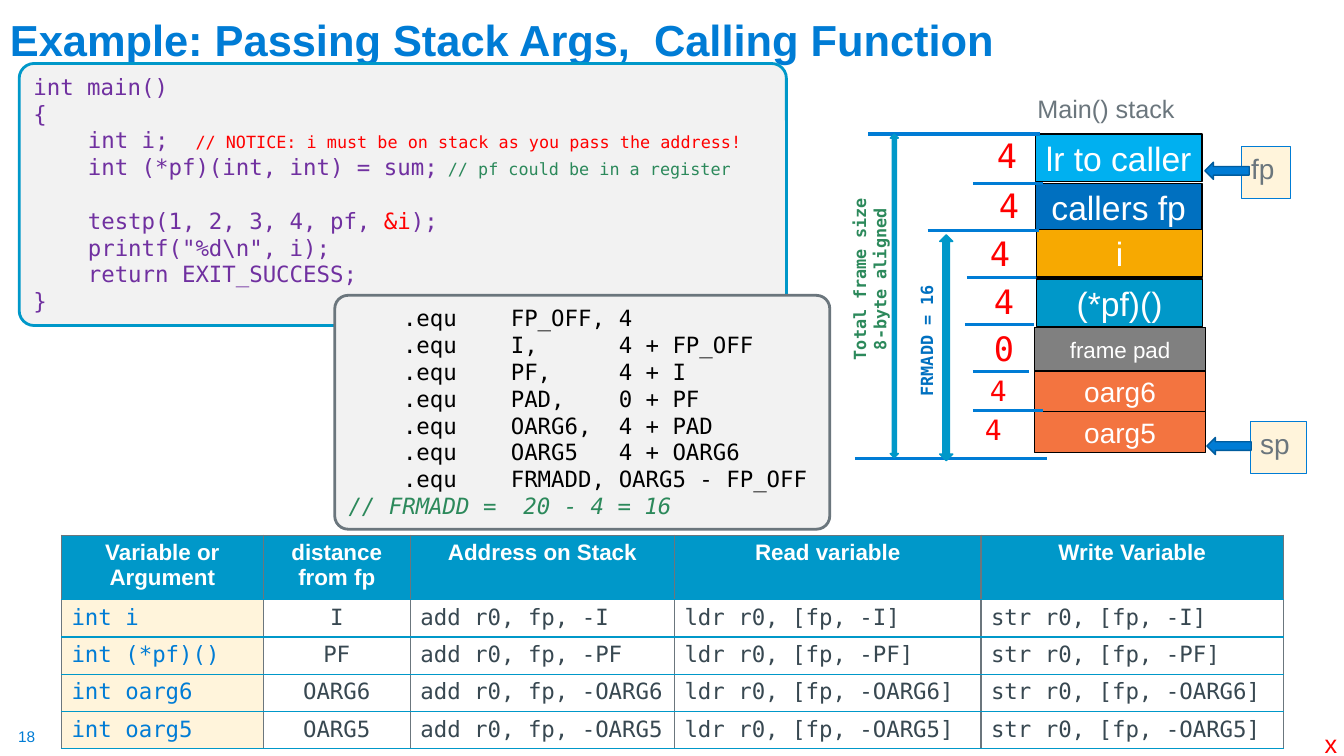
from lxml import etree
from pptx import Presentation
from pptx.dml.color import RGBColor
from pptx.enum.shapes import MSO_CONNECTOR, MSO_SHAPE
from pptx.enum.text import MSO_ANCHOR, PP_ALIGN
from pptx.oxml.ns import qn
from pptx.util import Inches, Pt

RECT, ROUND = MSO_SHAPE.RECTANGLE, MSO_SHAPE.ROUNDED_RECTANGLE
LEFT_ARROW, SPAN_ARROW = MSO_SHAPE.LEFT_ARROW, MSO_SHAPE.UP_DOWN_ARROW
STRAIGHT = MSO_CONNECTOR.STRAIGHT
LEFT, CENTER = PP_ALIGN.LEFT, PP_ALIGN.CENTER
TOP, MIDDLE, BOTTOM = MSO_ANCHOR.TOP, MSO_ANCHOR.MIDDLE, MSO_ANCHOR.BOTTOM
SANS, MONO = "Arial", "DejaVu Sans Mono"

BLUE = RGBColor(0x00, 0x7C, 0xD5)
NAVY = RGBColor(0x00, 0x5C, 0x9E)
ROYAL = RGBColor(0x00, 0x70, 0xC0)
SKY = RGBColor(0x00, 0xB0, 0xF0)
TEAL = RGBColor(0x00, 0x98, 0xC9)
AMBER = RGBColor(0xF7, 0xA9, 0x01)
ORANGE = RGBColor(0xF3, 0x74, 0x40)
CREAM = RGBColor(0xFF, 0xF4, 0xDB)
PURPLE = RGBColor(0x70, 0x30, 0xA0)
GREEN = RGBColor(0x2C, 0x89, 0x5B)
RED = RGBColor(0xFF, 0x00, 0x00)
SLATE = RGBColor(0x6B, 0x76, 0x7D)
INK = RGBColor(0x38, 0x48, 0x51)
GRAY = RGBColor(0x80, 0x80, 0x80)
PALE = RGBColor(0xF2, 0xF2, 0xF2)
BLACK = RGBColor(0x00, 0x00, 0x00)
WHITE = RGBColor(0xFF, 0xFF, 0xFF)


class Canvas:
    def __init__(self, slide):
        self.slide = slide
        self.shapes = slide.shapes

    def style(self, run, size, color, font=SANS, bold=False, italic=False):
        run.font.size = Pt(size)
        run.font.name = font
        run.font.bold = bold
        run.font.italic = italic
        run.font.color.rgb = color

    def letter(self, frame, text, size, color, font=SANS, bold=False,
               align=LEFT, anchor=TOP):
        frame.text = text
        frame.word_wrap = True
        frame.vertical_anchor = anchor
        for para in frame.paragraphs:
            para.alignment = align
            for run in para.runs:
                self.style(run, size, color, font, bold)

    def label(self, box, text, size, color, turn=0, **look):
        item = self.shapes.add_textbox(*map(Inches, box))
        item.rotation = turn
        self.letter(item.text_frame, text, size, color, **look)
        return item

    def shape(self, kind, box, fill, line, width=1):
        item = self.shapes.add_shape(kind, *map(Inches, box))
        item.shadow.inherit = False
        item.fill.solid()
        item.fill.fore_color.rgb = fill
        item.line.color.rgb = line
        item.line.width = Pt(width)
        return item

    def block(self, box, text, size, fill):
        item = self.shape(RECT, box, fill, BLACK)
        self.letter(item.text_frame, text, size, WHITE, align=CENTER, anchor=MIDDLE)

    def rule(self, left, right, top):
        ends = map(Inches, (left, top, right, top))
        item = self.shapes.add_connector(STRAIGHT, *ends)
        item.line.color.rgb = BLUE
        item.line.width = Pt(2.25)
        etree.SubElement(item._element.spPr, qn("a:effectLst"))

    def pointer(self, text, box, arrow):
        item = self.shape(RECT, box, CREAM, BLUE, 0.75)
        self.letter(item.text_frame, text, 20, SLATE)
        self.shape(LEFT_ARROW, arrow, BLUE, NAVY)

    def code(self, box, line, rows, stops):
        """Each row is a list of (text, size, color, italic) pieces."""
        item = self.shape(ROUND, box, PALE, line, 2)
        item.adjustments[0] = 0.057
        frame = item.text_frame
        frame.word_wrap = True
        frame.vertical_anchor = TOP
        for num, row in enumerate(rows):
            para = frame.paragraphs[0] if num == 0 else frame.add_paragraph()
            para.alignment = LEFT
            tabs = etree.SubElement(para._p.get_or_add_pPr(), qn("a:tabLst"))
            for stop in stops:
                etree.SubElement(tabs, qn("a:tab"), pos=str(Inches(stop)), algn="l")
            for text, size, color, italic in row:
                run = para.add_run()
                run.text = text
                self.style(run, size, color, MONO, italic=italic)
        return frame

    def border(self, cell, colors):
        props = cell._tc.get_or_add_tcPr()
        for num, (side, color) in enumerate(zip("LRTB", colors)):
            edge = etree.Element(qn("a:ln" + side), w=str(Pt(1)))
            fill = etree.SubElement(edge, qn("a:solidFill"))
            etree.SubElement(fill, qn("a:srgbClr"), val=str(color))
            props.insert(num, edge)

    def table(self, box, rows, widths, heights):
        grid = self.shapes.add_table(len(rows), len(widths), *map(Inches, box)).table
        for col, width in zip(grid.columns, widths):
            col.width = Inches(width)
        for line, height in zip(grid.rows, heights):
            line.height = Inches(height)
        for r, row in enumerate(rows):
            for c, text in enumerate(row):
                cell = grid.cell(r, c)
                head = r == 0
                fill = TEAL if head else CREAM if c == 0 else WHITE
                color = WHITE if head else BLUE if c == 0 else INK
                cell.fill.solid()
                cell.fill.fore_color.rgb = fill
                self.letter(cell.text_frame, text, 16, color,
                            SANS if head else MONO, head,
                            CENTER if head or c == 1 else LEFT)
                self.border(cell, (SLATE, SLATE, SLATE if head else TEAL, TEAL))


def main():
    deck = Presentation()
    deck.slide_width, deck.slide_height = Inches(13.33), Inches(7.5)
    art = Canvas(deck.slides.add_slide(deck.slide_layouts[6]))

    # Title and footer marks
    title = art.label((0, 0.02, 11.5, 0.68),
                      "Example: Passing Stack Args,  Calling Function",
                      31, BLUE, bold=True, anchor=BOTTOM)
    title.text_frame.paragraphs[0].line_spacing = 0.9
    page = art.label((0.18, 7.21, 0.19, 0.19), "18", 11, BLUE).text_frame
    page.margin_left = page.margin_right = page.margin_top = page.margin_bottom = 0
    art.label((13.04, 7.18, 0.33, 0.4), "x", 18, RED)

    # C code
    def plain(text, color=PURPLE, size=16, italic=False):
        return text, size, color, italic

    rows = [
        [plain("int main()")],
        [plain("{")],
        [plain("\tint i;  "),
         plain("// NOTICE: i must be on stack as you pass the address!", RED, 12)],
        [plain("\tint (*pf)(int, int) = sum;"),
         plain(" // pf could be in a register", GREEN, 12)],
        [plain("\ttestp(1, 2, 3, 4, pf, "), plain("&i", RED), plain(");")],
        [plain('\tprintf("%d\\n", i);')],
        [plain("\treturn EXIT_SUCCESS;")],
        [plain("}")],
    ]
    body = art.code((0.19, 0.63, 7.61, 2.6), TEAL, rows, [0.54])
    body.paragraphs[4].space_before = Pt(19)

    # Assembler constants
    equs = [("FP_OFF,", "4"), ("I,", "4 + FP_OFF"), ("PF,", "4 + I"),
            ("PAD,", "0 + PF"), ("OARG6,", "4 + PAD"), ("OARG5", "4 + OARG6"),
            ("FRMADD,", "OARG5 - FP_OFF")]
    rows = [[plain(f"\t.equ\t{name}\t{value}", BLACK)] for name, value in equs]
    rows.append([plain("// FRMADD =  20 - 4 = 16", GREEN, italic=True)])
    art.code((3.32, 2.93, 4.91, 2.32), SLATE, rows, [0.54, 1.61, 2.68])

    # Stack blocks
    art.label((10.19, 0.88, 1.81, 0.4), "Main() stack", 18, SLATE)
    for text, left, top, wide, high, size, fill in [
            ("lr to caller", 10.27, 1.33, 1.65, 0.47, 24, SKY),
            ("callers fp", 10.27, 1.82, 1.65, 0.47, 24, ROYAL),
            ("i", 10.28, 2.28, 1.65, 0.47, 24, AMBER),
            ("(*pf)()", 10.28, 2.77, 1.65, 0.47, 24, TEAL),
            ("frame pad", 10.26, 3.25, 1.7, 0.44, 16, GRAY),
            ("oarg6", 10.26, 3.68, 1.7, 0.41, 20, ORANGE),
            ("oarg5", 10.26, 4.08, 1.7, 0.41, 20, ORANGE)]:
        art.block((left, top, wide, high), text, size, fill)

    # Dividers and byte counts
    for left, right, top in [
            (8.61, 10.32, 1.33), (9.65, 10.34, 1.82), (9.2, 10.31, 2.29),
            (9.59, 10.28, 2.75), (9.57, 10.26, 3.22), (9.65, 10.21, 3.69),
            (9.65, 10.34, 4.07), (8.48, 10.38, 4.55)]:
        art.rule(left, right, top)
    for text, left, top, size in [
            ("4", 9.79, 1.29, 24), ("4", 9.81, 1.79, 24), ("4", 9.72, 2.26, 24),
            ("4", 9.76, 2.74, 24), ("0", 9.76, 3.2, 24), ("4", 9.72, 3.66, 20),
            ("4", 9.67, 4.04, 20)]:
        art.label((left, top, 0.44, 0.6), text, size, RED, font=MONO)

    # Pointers and frame spans
    art.pointer("fp", (12.31, 1.45, 0.49, 0.52), (11.95, 1.61, 0.44, 0.17))
    art.pointer("sp", (12.4, 4.18, 0.56, 0.52), (11.97, 4.34, 0.44, 0.17))
    art.shape(SPAN_ARROW, (9.32, 2.33, 0.13, 2.24), TEAL, TEAL)
    art.shape(SPAN_ARROW, (8.83, 1.33, 0.08, 3.21), TEAL, TEAL)
    art.label((7.95, 3.23, 2.48, 0.3), "FRMADD = 16", 12, ROYAL, 270,
              font=MONO, bold=True, align=CENTER)
    art.label((7.59, 2.52, 2.07, 0.5), "Total frame size\n8-byte aligned", 12,
              GREEN, 270, font=MONO, bold=True, align=CENTER)

    # Access table
    rows = [("Variable or Argument", "distance from fp", "Address on Stack",
             "Read variable", "Write Variable")]
    for var, off in [("int i", "I"), ("int (*pf)()", "PF"),
                     ("int oarg6", "OARG6"), ("int oarg5", "OARG5")]:
        rows.append((var, off, f"add r0, fp, -{off}",
                     f"ldr r0, [fp, -{off}]", f"str r0, [fp, -{off}]"))
    art.table((0.61, 5.31, 12.12, 2.1), rows, (2, 1.46, 2.62, 3.04, 3),
              [0.64] + [0.37] * 4)

    deck.save("out.pptx")


if __name__ == "__main__":
    main()
